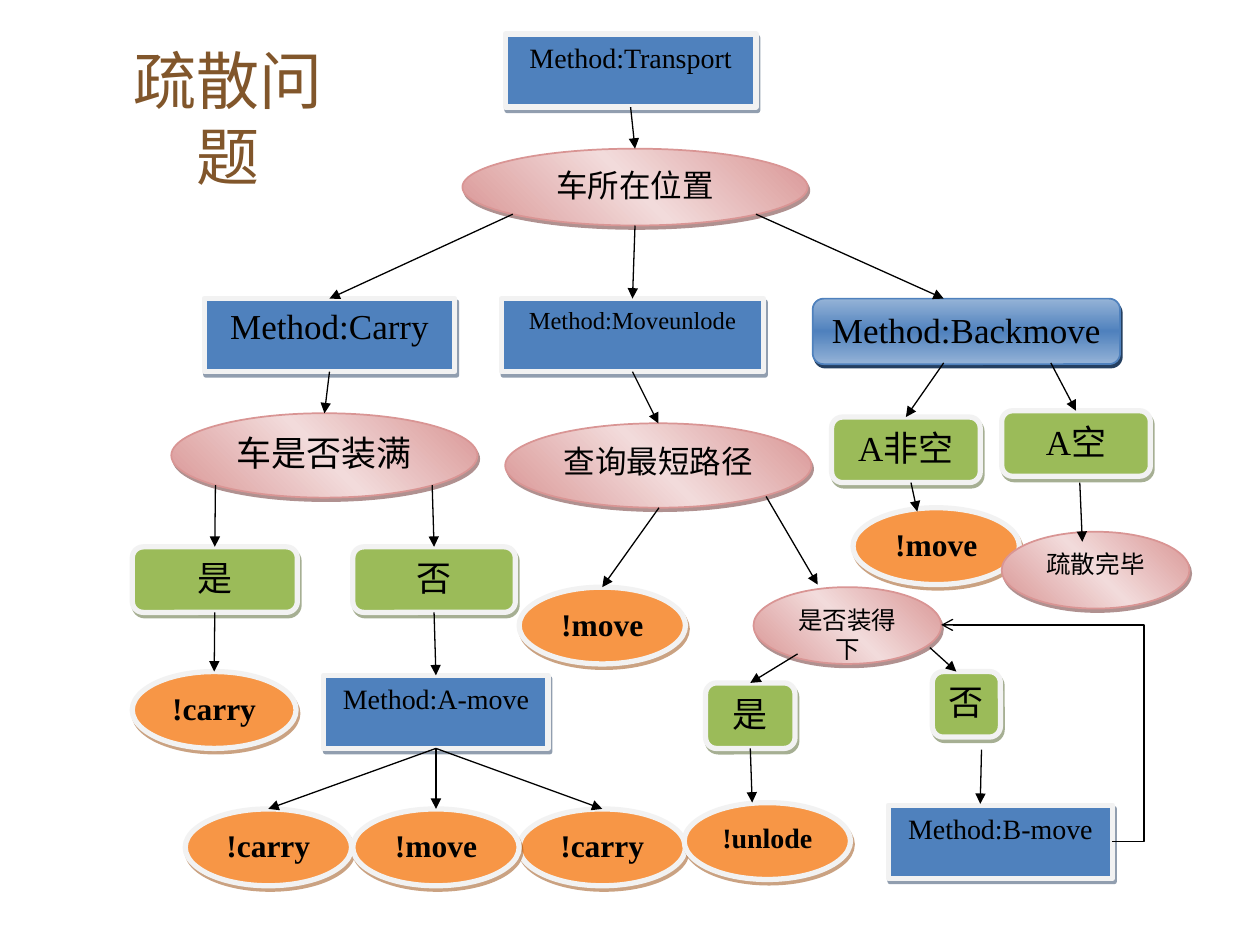
from copy import deepcopy
from dataclasses import dataclass

from lxml.etree import SubElement
from pptx import Presentation
from pptx.dml.color import RGBColor
from pptx.enum.shapes import MSO_CONNECTOR, MSO_SHAPE
from pptx.enum.text import MSO_ANCHOR, MSO_AUTO_SIZE, PP_ALIGN
from pptx.oxml.ns import qn
from pptx.util import Inches, Pt


@dataclass(frozen=True)
class Theme:
    title: str = "81562B"
    ink: str = "000000"
    frame: str = "F2F2F2"
    latin: str = "Times New Roman"
    cjk: str = "Noto Sans CJK SC"
    huge: int = 36
    large: int = 20
    medium: int = 18
    small: int = 16
    tiny: int = 14


theme = Theme()
TOP, BOTTOM = 0, 2

# kind: outline, fill (several colours make a gradient), gradient angle,
# line colour, line width, shadow colour, shadow opacity in %, bold text
KINDS = {
    "method": (MSO_SHAPE.RECTANGLE, ["4F81BD"], 0, theme.frame, 3, "243F60", 50, False),
    "back": (MSO_SHAPE.ROUNDED_RECTANGLE, ["95B3D7", "4F81BD", "95B3D7"], 270,
             "4F81BD", 1, "243F60", 100, False),
    "question": (MSO_SHAPE.OVAL, ["D99594", "F2DBDB", "D99594"], 45,
                 "D99594", 1, "622423", 50, False),
    "answer": (MSO_SHAPE.ROUNDED_RECTANGLE, ["9BBB59"], 0, theme.frame, 3, "4E6128", 50, False),
    "action": (MSO_SHAPE.OVAL, ["F79646"], 0, theme.frame, 3, "974706", 50, True),
}

# name: kind, text, size, then left, top, width, height on a 100 x 75 grid
NODES = {
    "transport": ("method", "Method:Transport", theme.small, 40.1, 2.7, 19.9, 5.8),
    "unload": ("method", "Method:Moveunlode", theme.tiny, 39.8, 23.7, 20.8, 5.8),
    "carry": ("method", "Method:Carry", theme.large, 16.2, 23.7, 19.9, 5.8),
    "location": ("question", "车所在位置", theme.medium, 36.7, 11.8, 27.4, 6.1),
    "full": ("question", "车是否装满", theme.large, 13.6, 32.8, 24.3, 6.7),
    "back": ("back", "Method:Backmove", theme.large, 64.5, 23.7, 24.4, 5.2),
    "back move": ("action", "!move", theme.medium, 67.7, 40.3, 13.2, 6.1),
    "not full": ("answer", "否", theme.large, 28, 43.4, 12.9, 5.2),
    "is full": ("answer", "是", theme.large, 10.5, 43.4, 13.1, 5.2),
    "full carry": ("action", "!carry", theme.medium, 10.5, 53.3, 13, 6.1),
    "a-move": ("method", "Method:A-move", theme.small, 25.7, 53.6, 17.8, 5.8),
    "first carry": ("action", "!carry", theme.medium, 14.7, 64.2, 13.2, 6.1),
    "last carry": ("action", "!carry", theme.medium, 41.2, 64.2, 13.2, 6.1),
    "middle move": ("action", "!move", theme.medium, 28, 64.2, 13.2, 6.1),
    "route move": ("action", "!move", theme.medium, 41.2, 46.6, 13.2, 6.1),
    "unlode": ("action", "!unlode", theme.small, 54.3, 63.7, 13.2, 6.1),
    "route": ("question", "查询最短路径", theme.medium, 40.1, 33.6, 24.3, 6.7),
    "fits": ("question", "是否装得下", theme.tiny, 59.8, 46.6, 14.9, 6.1),
    "no fit": ("answer", "否", theme.large, 74, 53.3, 5.4, 5.2),
    "fit": ("answer", "是", theme.large, 56, 54.2, 7.1, 5.2),
    "b-move": ("method", "Method:B-move", theme.small, 70.5, 63.9, 17.8, 5.8),
    "a filled": ("answer", "A非空", theme.large, 66, 33.1, 11.8, 5.2),
    "a empty": ("answer", "A空", theme.large, 79.5, 32.6, 11.8, 5.2),
    "done": ("question", "疏散完毕", theme.tiny, 79.5, 42.2, 14.9, 6.1),
}

# A name joins the bottom (start) or top (end) of that node; a pair is a grid point
ARROWS = [
    ("transport", "location"),
    ((40.7, 17), "carry"),
    ((60, 17), (74.9, 23.7)),
    ((50.4, 17.9), "unload"),
    ("carry", "full"),
    ((17.1, 38.5), "is full"),
    ((34.3, 38.5), "not full"),
    ("is full", "full carry"),
    ("not full", "a-move"),
    ("a-move", "first carry"),
    ("a-move", "middle move"),
    ("a-move", "last carry"),
    ("unload", "route"),
    ((52.3, 40.3), "route move"),
    ((60.8, 39.4), (64.9, 46.4)),
    ((63.3, 51.9), "fit"),
    ((73.8, 51.4), (75.9, 53.3)),
    ("fit", (59.7, 63.7)),
    ((77.9, 59.5), (77.8, 63.8)),
    ((74.9, 28.8), "a filled"),
    ((83.4, 28.8), "a empty"),
    ((72.3, 38.3), (72.8, 40.6)),
    ((85.7, 38.3), (85.9, 43)),
]
RETURN_LOOP = ((88.3, 66.8), (74.7, 49.6))

deck = Presentation()
deck.slide_width, deck.slide_height = Inches(10), Inches(7.5)
column, row = deck.slide_width / 100, deck.slide_height / 75
slide = deck.slides.add_slide(deck.slide_layouts[5])


def write(frame, text, *, size, font=theme.latin, color=theme.ink, bold=False, wrap=True):
    frame.auto_size = MSO_AUTO_SIZE.NONE
    frame.word_wrap = wrap
    frame.vertical_anchor = MSO_ANCHOR.TOP
    paragraph = frame.paragraphs[0]
    paragraph.alignment = PP_ALIGN.CENTER
    run = paragraph.add_run()
    run.text = text
    run.font.size, run.font.name, run.font.bold = Pt(size), font, bold
    run.font.color.rgb = RGBColor.from_string(color)
    SubElement(run.font._element, qn("a:ea"), typeface=theme.cjk)


def connect(kind, start, end, head):
    """Draw a thin black connector with an arrowhead at its end."""
    (x1, y1), (x2, y2) = start, end
    link = slide.shapes.add_connector(
        kind, int(x1 * column), int(y1 * row), int(x2 * column), int(y2 * row))
    link.line.width = Pt(0.75)
    link.line.color.rgb = RGBColor.from_string(theme.ink)
    SubElement(link.line._get_or_add_ln(), qn("a:tailEnd"), type=head)
    SubElement(link.element.spPr, qn("a:effectLst"))
    return link


heading = slide.shapes.title
heading.left, heading.top = int(7.5 * column), int(2.8 * row)
heading.width, heading.height = int(21.2 * column), int(3.9 * row)
write(heading.text_frame, "疏散问题", size=theme.huge, font=theme.cjk, color=theme.title, wrap=False)

nodes = {}
for name, (kind, text, size, left, top, width, height) in NODES.items():
    outline, fills, angle, edge, weight, shade, opacity, bold = KINDS[kind]
    node = slide.shapes.add_shape(
        outline, int(left * column), int(top * row), int(width * column), int(height * row))
    if len(fills) == 1:
        node.fill.solid()
        node.fill.fore_color.rgb = RGBColor.from_string(fills[0])
    else:
        node.fill.gradient()
        node.fill.gradient_angle = angle
        stops = node.element.spPr.find(".//" + qn("a:gsLst"))
        stops.append(deepcopy(stops[0]))
        for index, (stop, color) in enumerate(zip(node.fill.gradient_stops, fills)):
            stop.position = index / 2
            stop.color.rgb = RGBColor.from_string(color)
    node.line.color.rgb = RGBColor.from_string(edge)
    node.line.width = Pt(weight)
    node.shadow.inherit = False
    shadow = SubElement(node.element.spPr.find(qn("a:effectLst")), qn("a:outerShdw"),
                        dist=str(Pt(2.2)), dir=str(63 * 60000), algn="ctr", rotWithShape="0")
    tint = SubElement(shadow, qn("a:srgbClr"), val=shade)
    SubElement(tint, qn("a:alpha"), val=str(opacity * 1000))
    write(node.text_frame, text, size=size, bold=bold)
    nodes[name] = node

for start, end in ARROWS:
    arrow = connect(MSO_CONNECTOR.STRAIGHT,
                    (0, 0) if start in nodes else start,
                    (0, 0) if end in nodes else end, "triangle")
    if start in nodes:
        # An oval numbers its sites differently, but only rectangles start an arrow
        arrow.begin_connect(nodes[start], BOTTOM)
    if end in nodes:
        arrow.end_connect(nodes[end], TOP)

loop = connect(MSO_CONNECTOR.ELBOW, *RETURN_LOOP, "arrow")
bend = loop.element.spPr.find(qn("a:prstGeom")).get_or_add_avLst()
SubElement(bend, qn("a:gd"), name="adj1", fmla="val -18400")

deck.save("out.pptx")
